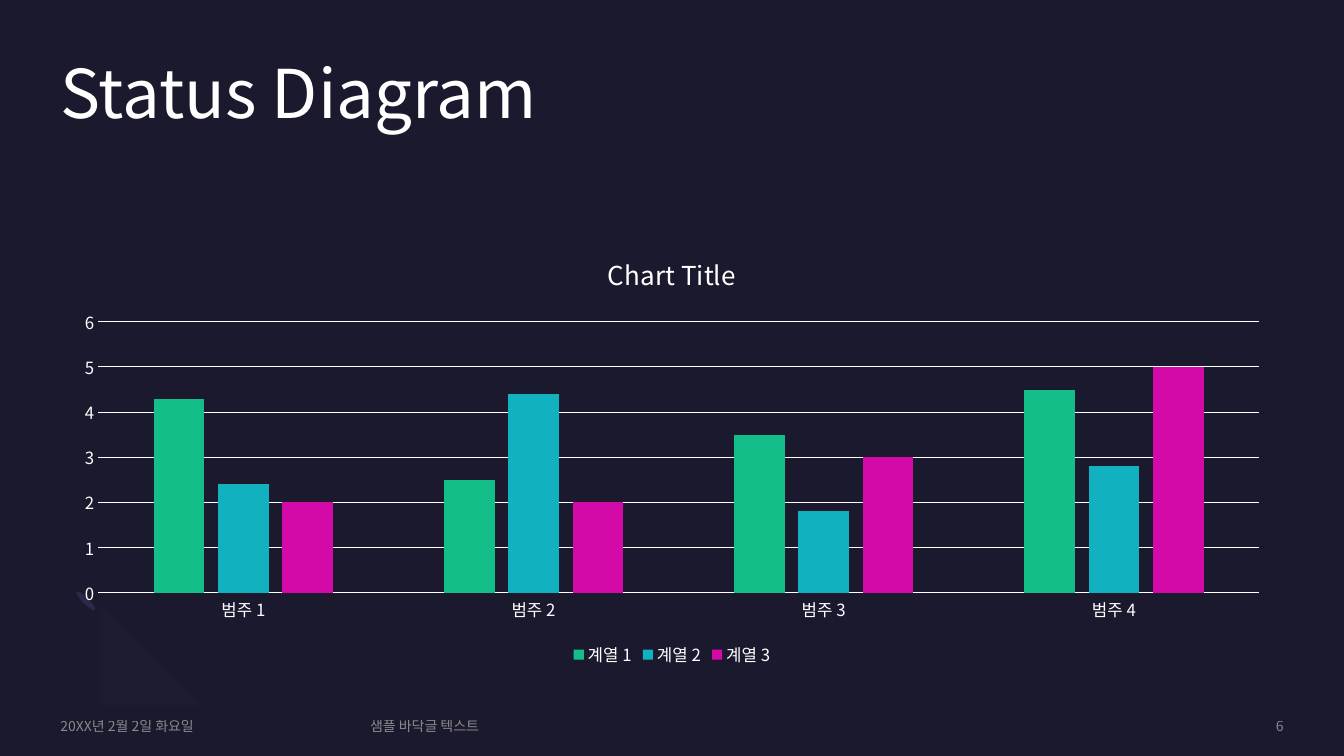
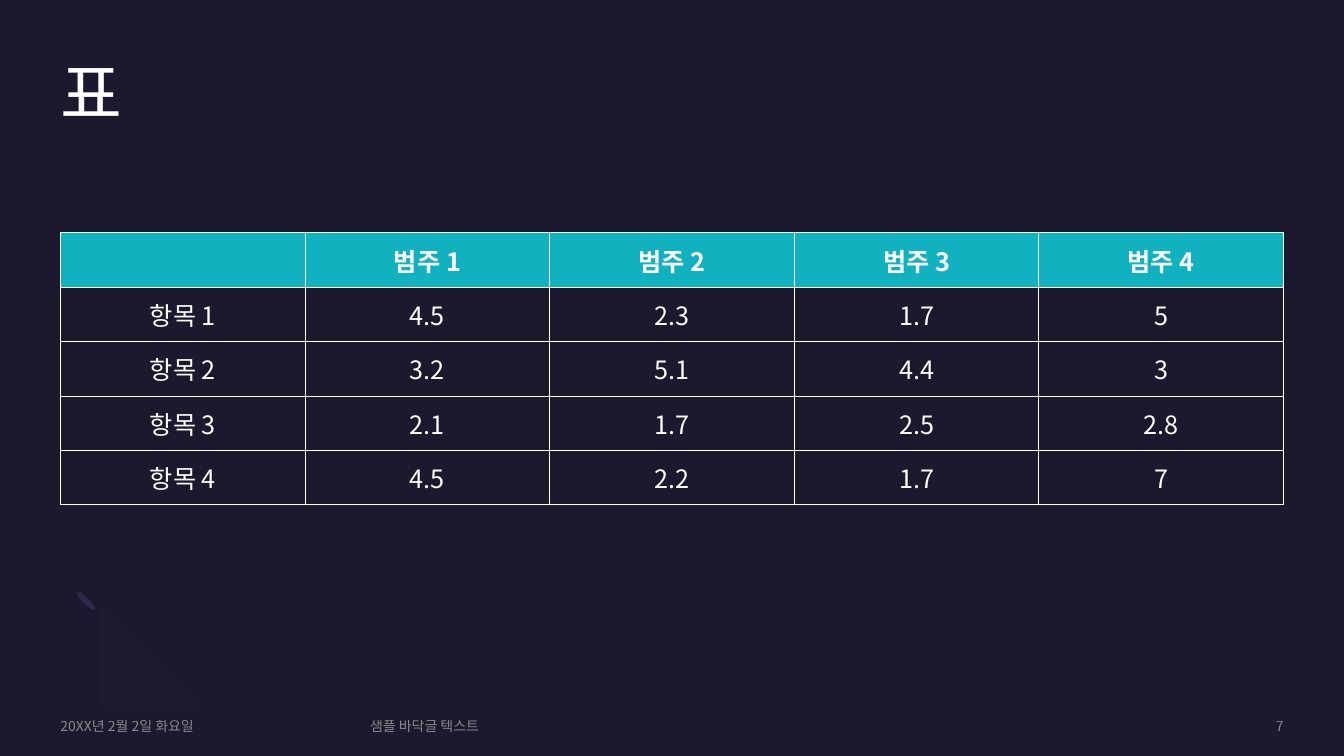
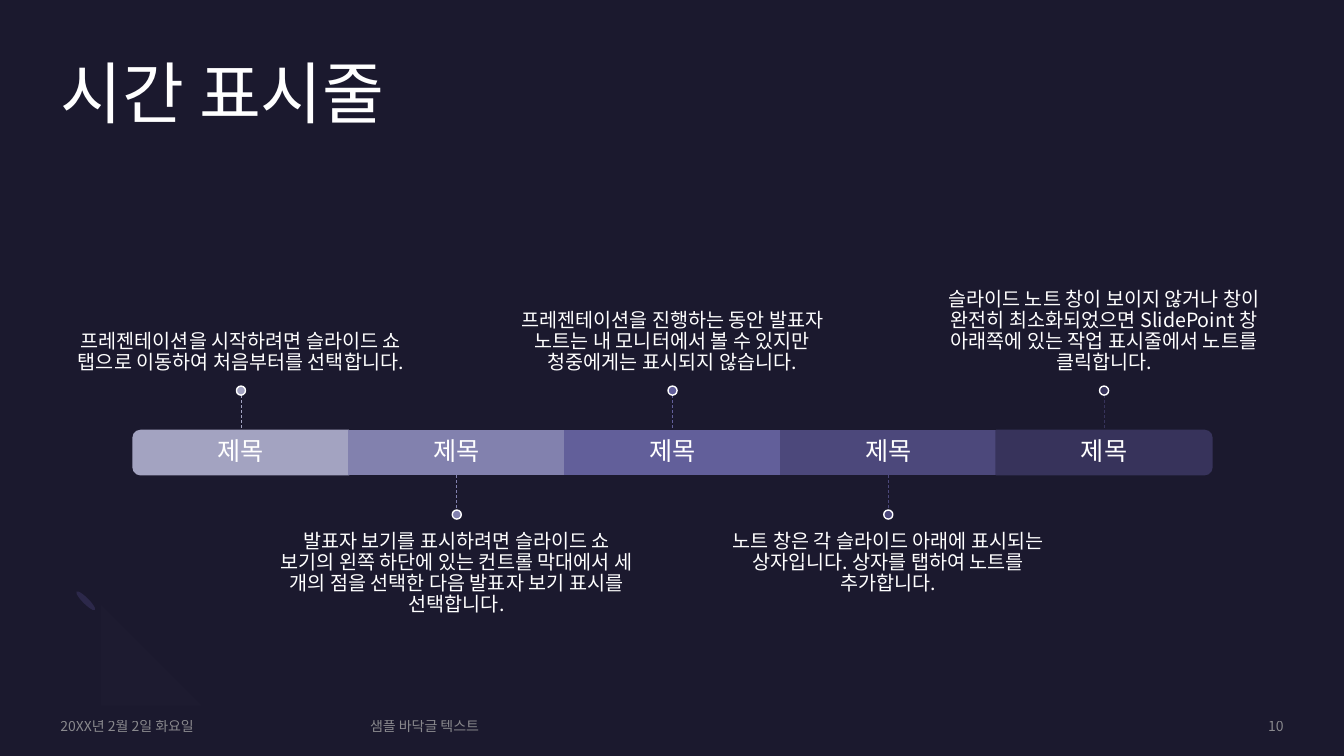
from lxml import etree
from pptx import Presentation
from pptx.chart.data import CategoryChartData
from pptx.dml.color import RGBColor
from pptx.enum import chart as charts, dml, shapes, text
from pptx.oxml import ns
from pptx.util import Inches, Pt

FONT = "Noto Sans CJK KR"
COLORS = {
    "night": "1B192E", "white": "FFFFFF", "footer": "A6A6A6",
    "petal": "2C284A", "cup": "1D1B30",
    "green": "13BE89", "teal": "12B1BF", "pink": "D40AA8",
}
LEFT, WIDTH, BODY_TOP = 0.6, 12.13, 2.31
ALIGN, ANCHOR = text.PP_ALIGN, text.MSO_ANCHOR

FOOTER_DATE = "20XX년 2월 2일 화요일"
FOOTER_NOTE = "샘플 바닥글 텍스트"

CATEGORIES = ["범주 1", "범주 2", "범주 3", "범주 4"]
SERIES = [
    ("계열 1", (4.3, 2.5, 3.5, 4.5), "green"),
    ("계열 2", (2.4, 4.4, 1.8, 2.8), "teal"),
    ("계열 3", (2, 2, 3, 5), "pink"),
]
TABLE_ROWS = [
    [""] + CATEGORIES,
    ["항목 1", "4.5", "2.3", "1.7", "5"],
    ["항목 2", "3.2", "5.1", "4.4", "3"],
    ["항목 3", "2.1", "1.7", "2.5", "2.8"],
    ["항목 4", "4.5", "2.2", "1.7", "7"],
]
STEPS = [
    ("제목", "A3A3C1", "프레젠테이션을 시작하려면 슬라이드 쇼 탭으로 이동하여 처음부터를 선택합니다."),
    ("제목", "8281AE", "발표자 보기를 표시하려면 슬라이드 쇼 보기의 왼쪽 하단에 있는 컨트롤 막대에서 세 개의 점을 선택한 다음 발표자 보기 표시를 선택합니다."),
    ("제목", "625F9A", "프레젠테이션을 진행하는 동안 발표자 노트는 내 모니터에서 볼 수 있지만 청중에게는 표시되지 않습니다."),
    ("제목", "4C487B", "노트 창은 각 슬라이드 아래에 표시되는 상자입니다. 상자를 탭하여 노트를 추가합니다."),
    ("제목", "37335B", "슬라이드 노트 창이 보이지 않거나 창이 완전히 최소화되었으면 SlidePoint 창 아래쪽에 있는 작업 표시줄에서 노트를 클릭합니다."),
]
CUP_START = (0.76, 6.59)
CUP_PARTS = [
    [(0.56, 6.39), (0.58, 6.05), (0.81, 5.82)],
    [(0.99, 6)],
    [(0.87, 6.11), (0.86, 6.29), (0.96, 6.38)],
    [(1.06, 6.48), (1.23, 6.47), (1.35, 6.36)],
    [(1.52, 6.54)],
    [(1.3, 6.76), (0.95, 6.79), (0.76, 6.59)],
]


def rgb(name):
    return RGBColor.from_string(COLORS.get(name, name))


def set_font(font, size, color="white", bold=False):
    font.size, font.name, font.bold = Pt(size), FONT, bold
    font.color.rgb = rgb(color)
    latin = font._element.find(ns.qn("a:latin"))
    east = etree.Element(ns.qn("a:ea"), typeface=FONT)
    latin.addnext(east)


def add_text(page, words, place, size, color="white", align=ALIGN.LEFT,
             anchor=ANCHOR.TOP, margins=(0, 0, 0, 0), spacing=1.0):
    box = page.shapes.add_textbox(*map(Inches, place))
    frame = box.text_frame
    frame.word_wrap, frame.vertical_anchor = True, anchor
    (frame.margin_left, frame.margin_top,
     frame.margin_right, frame.margin_bottom) = map(Inches, margins)
    frame.text = words
    para = frame.paragraphs[0]
    para.alignment, para.line_spacing = align, spacing
    set_font(para.runs[0].font, size, color)
    return para.runs[0]


def paint(shape, fill, line=None):
    shape.shadow.inherit = False
    shape.fill.solid()
    shape.fill.fore_color.rgb = rgb(fill)
    if line:
        shape.line.color.rgb, shape.line.width = rgb(line), Pt(1)
    else:
        shape.line.fill.background()


def add_shape(page, kind, place, fill, line=None, rotation=0):
    shape = page.shapes.add_shape(kind, *map(Inches, place))
    shape.rotation = rotation
    paint(shape, fill, line)


def curve_points(start, part, steps=12):
    if len(part) == 1:
        return part
    knots = [start] + part
    weights = (1, 3, 3, 1)
    return [tuple(sum(w * (1 - t) ** (3 - i) * t ** i * knots[i][axis]
                      for i, w in enumerate(weights)) for axis in (0, 1))
            for t in (step / steps for step in range(1, steps + 1))]


def add_decoration(page):
    for left, top in ((1.35, 6.37), (0.82, 5.83)):
        add_shape(page, shapes.MSO_SHAPE.OVAL, (left, top, 0.06, 0.26), "petal", rotation=135)
    points, pen = [], CUP_START
    for part in CUP_PARTS:
        points += curve_points(pen, part)
        pen = part[-1]
    builder = page.shapes.build_freeform(*CUP_START, scale=Inches(1))
    builder.add_line_segments(points, close=True)
    paint(builder.convert_to_shape(), "cup")


def add_page(deck, title, number):
    page = deck.slides.add_slide(deck.slide_layouts[6])
    page.background.fill.solid()
    page.background.fill.fore_color.rgb = rgb("night")
    add_decoration(page)
    add_text(page, title, (LEFT, 0.6, WIDTH, 1.46), 48, spacing=0.9)
    footers = [
        (FOOTER_DATE, LEFT, 2.88, ALIGN.LEFT),
        (FOOTER_NOTE, 3.67, 6.98, ALIGN.LEFT),
        (number, 10.88, 1.85, ALIGN.RIGHT),
    ]
    for words, left, width, align in footers:
        span = add_text(page, words, (left, 7.12, width, 0.17), 10, "footer", align, ANCHOR.MIDDLE)
        color = span.font._element.find(".//" + ns.qn("a:srgbClr"))
        etree.SubElement(color, ns.qn("a:alpha"), val="80000")
    return page


def add_status_chart(page):
    data = CategoryChartData()
    data.categories = CATEGORIES
    for name, values, _ in SERIES:
        data.add_series(name, values)
    place = map(Inches, (LEFT, BODY_TOP, WIDTH, 4.35))
    chart = page.shapes.add_chart(charts.XL_CHART_TYPE.COLUMN_CLUSTERED, *place, data).chart
    set_font(chart.font, 10)
    chart.has_title = True
    chart.chart_title.include_in_layout = False
    chart.chart_title.text_frame.text = "Chart Title"
    set_font(chart.chart_title.text_frame.paragraphs[0].runs[0].font, 18.6)
    chart.has_legend = True
    chart.legend.position = charts.XL_LEGEND_POSITION.BOTTOM
    chart.legend.include_in_layout = False
    set_font(chart.legend.font, 12)

    plot = chart.plots[0]
    plot.gap_width, plot.overlap, plot.vary_by_categories = 219, -27, False
    for series, (_, _, color) in zip(plot.series, SERIES):
        series.format.fill.solid()
        series.format.fill.fore_color.rgb = rgb(color)
    for axis in (chart.category_axis, chart.value_axis):
        axis.major_tick_mark = axis.minor_tick_mark = charts.XL_TICK_MARK.NONE
        set_font(axis.tick_labels.font, 12)
    values = chart.value_axis
    values.minimum_scale, values.maximum_scale, values.major_unit = 0, 6, 1
    values.format.line.fill.background()
    for line in (chart.category_axis.format.line, values.major_gridlines.format.line):
        line.color.rgb, line.width = rgb("white"), Pt(0.75)


def add_borders(cell):
    properties = cell._tc.get_or_add_tcPr()
    for index, side in enumerate(("lnL", "lnR", "lnT", "lnB")):
        line = etree.Element(ns.qn("a:" + side), w=str(Pt(0.75)))
        fill = etree.SubElement(line, ns.qn("a:solidFill"))
        etree.SubElement(fill, ns.qn("a:srgbClr"), val=COLORS["white"])
        properties.insert(index, line)


def add_score_table(page):
    place = map(Inches, (LEFT, BODY_TOP, WIDTH, 2.7))
    table = page.shapes.add_table(len(TABLE_ROWS), len(TABLE_ROWS[0]), *place).table
    table.horz_banding = False
    for row, words in enumerate(TABLE_ROWS):
        for column, word in enumerate(words):
            cell = table.cell(row, column)
            cell.vertical_anchor = ANCHOR.MIDDLE
            if row == 0:
                cell.fill.solid()
                cell.fill.fore_color.rgb = rgb("teal")
            else:
                cell.fill.background()
            add_borders(cell)
            cell.text = word
            para = cell.text_frame.paragraphs[0]
            para.alignment = ALIGN.CENTER
            for span in para.runs:
                set_font(span.font, 18, bold=row == 0)


def add_timeline(page):
    bar_left, bar_top, step_width, bar_height = 1.32, 4.27, 2.14, 0.44
    note_width, note_height, dot, stem = 3.57, 1.52, 0.09, 0.35
    for index, (label, color, note) in enumerate(STEPS):
        left = bar_left + index * step_width
        center = left + step_width / 2
        bar = (left, bar_top, step_width, bar_height)
        if index in (0, len(STEPS) - 1):
            upright = (center - bar_height / 2, bar_top + (bar_height - step_width) / 2,
                       bar_height, step_width)
            add_shape(page, shapes.MSO_SHAPE.ROUND_2_SAME_RECTANGLE, upright, color, color,
                      270 if index == 0 else 90)
        else:
            add_shape(page, shapes.MSO_SHAPE.RECTANGLE, bar, color, color)
        add_text(page, label, bar, 18, align=ALIGN.CENTER, anchor=ANCHOR.MIDDLE,
                 margins=(0.15,) * 4, spacing=0.9)

        if index % 2 == 0:
            stem_top, dot_top, note_top = bar_top - stem, bar_top - stem - dot, BODY_TOP
            anchor, margins = ANCHOR.BOTTOM, (0, 0, 0, 0.12)
        else:
            stem_top = bar_top + bar_height
            dot_top = stem_top + stem
            note_top = dot_top + dot
            anchor, margins = ANCHOR.TOP, (0, 0.12, 0, 0)
        add_text(page, note, (center - note_width / 2, note_top, note_width, note_height), 14,
                 align=ALIGN.CENTER, anchor=anchor, margins=margins, spacing=0.9)
        connector = page.shapes.add_connector(
            shapes.MSO_CONNECTOR.STRAIGHT,
            *map(Inches, (center, stem_top, center, stem_top + stem)))
        connector.line.color.rgb, connector.line.width = rgb(color), Pt(0.5)
        connector.line.dash_style = dml.MSO_LINE.DASH
        etree.SubElement(connector._element.spPr, ns.qn("a:effectLst"))
        add_shape(page, shapes.MSO_SHAPE.OVAL, (center - dot / 2, dot_top, dot, dot), color, "white")


def main():
    deck = Presentation()
    deck.slide_width, deck.slide_height = Inches(13.33), Inches(7.5)
    pages = [
        ("Status Diagram", "6", add_status_chart),
        ("표", "7", add_score_table),
        ("시간 표시줄", "10", add_timeline),
    ]
    for title, number, add_body in pages:
        add_body(add_page(deck, title, number))
    deck.save("out.pptx")


if __name__ == "__main__":
    main()
